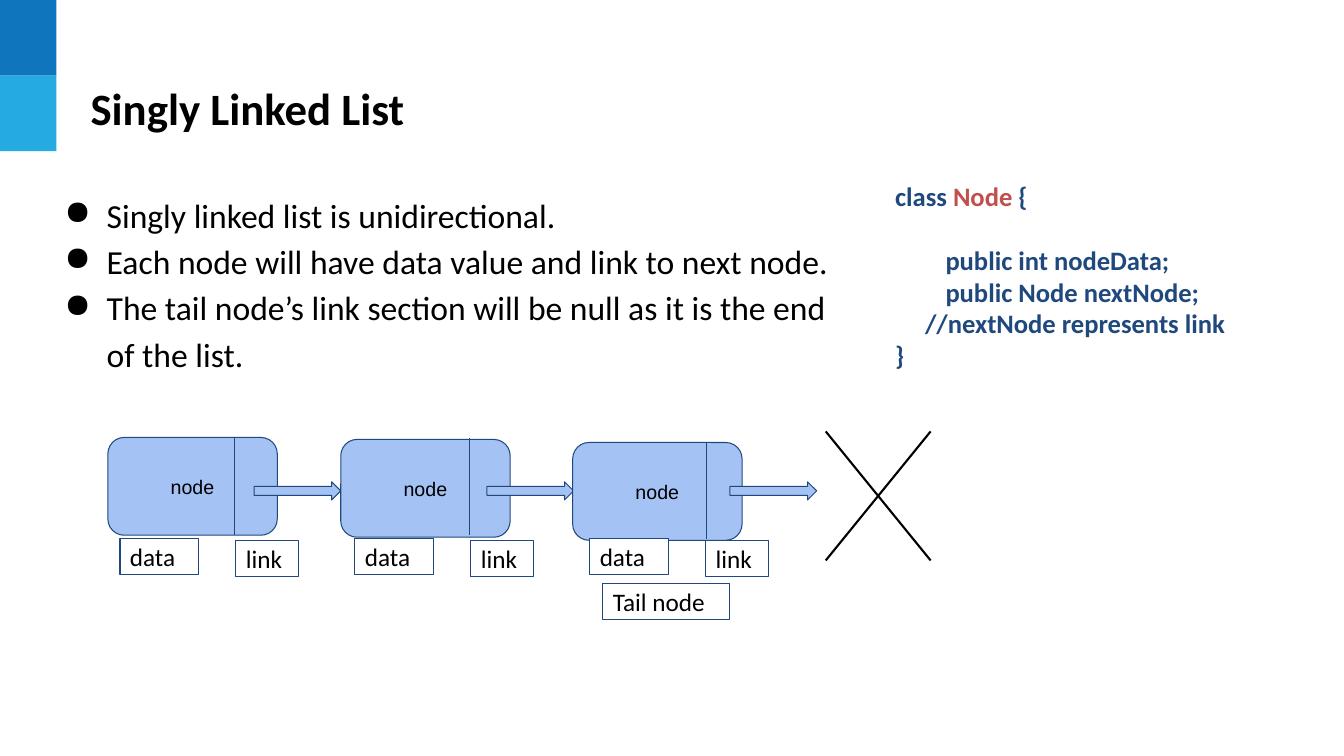
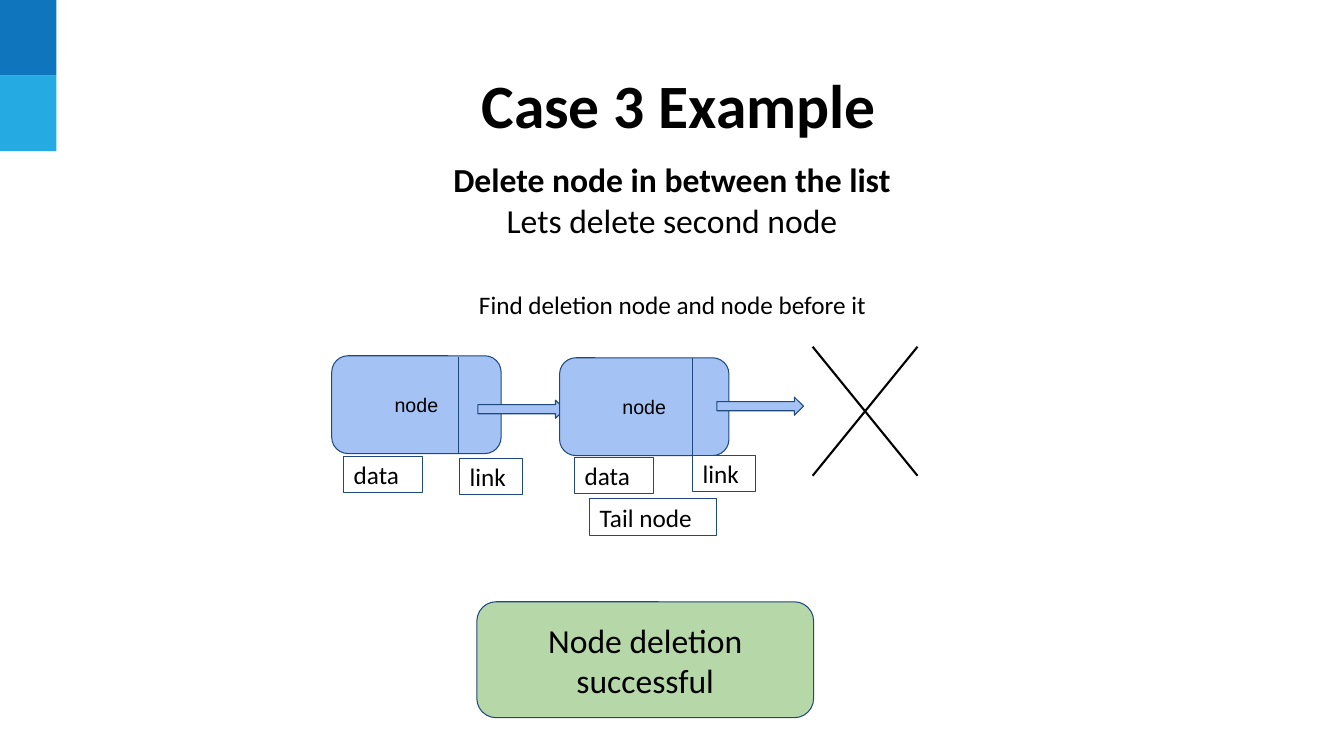
from lxml import etree
from pptx import Presentation
from pptx import util as u
from pptx.dml.color import RGBColor
from pptx.enum import shapes, text
from pptx.oxml.ns import qn

BLACK, WHITE, NAVY, RED = "000000", "FFFFFF", "1F497D", "C0504D"
BLUE, GREEN = "A4C2F4", "B6D7A8"
BANDS = ("0F75BD", "25AAE2")
MIDDLE = text.MSO_ANCHOR.MIDDLE
TOP = text.MSO_ANCHOR.TOP
CENTER = text.PP_ALIGN.CENTER
LEFT = text.PP_ALIGN.LEFT
RECTANGLE = shapes.MSO_SHAPE.RECTANGLE
ROUNDED = shapes.MSO_SHAPE.ROUNDED_RECTANGLE
ARROW = shapes.MSO_SHAPE.RIGHT_ARROW


def color(value):
    """Turn a hex string into a colour."""
    return RGBColor.from_string(value)


def apply(target, values):
    """Set each named attribute of the target."""
    for name, value in values.items():
        setattr(target, name, value)


class Deck:
    """Holds the shared style and the current slide."""

    def __init__(self):
        """Start an empty widescreen presentation."""
        self.presentation = Presentation()
        apply(self.presentation, {"slide_width": u.Inches(13.33), "slide_height": u.Inches(7.5)})
        self.slide = None

    def new_slide(self):
        """Add a blank slide with the two corner bands."""
        self.slide = self.presentation.slides.add_slide(self.presentation.slide_layouts[6])
        for row, fill in enumerate(BANDS):
            self.shape(RECTANGLE, (0, 0.75 * row, 0.56, 0.75), fill, None)

    def title(self, box, words, size, align=LEFT):
        """Add a bold slide title."""
        self.text(box, [[(words, {"bold": True})]], size, MIDDLE, 0.05, alignment=align)

    def text(self, box, paragraphs, size, anchor=TOP, inset=0.1, ink=BLACK, **layout):
        """Add a text box."""
        shape = self.slide.shapes.add_textbox(*map(u.Inches, box))
        self.fill_text(shape, paragraphs, size, anchor, inset, ink=ink, **layout)
        return shape

    def fill_text(self, shape, paragraphs, size, anchor=MIDDLE, inset=0.1,
                  font="Calibri", ink=BLACK, **layout):
        """Fill a shape with paragraphs of (words, format) runs."""
        frame = shape.text_frame
        apply(frame, {"word_wrap": True, "vertical_anchor": anchor,
                      "margin_left": u.Inches(0.1), "margin_right": u.Inches(0.1),
                      "margin_top": u.Inches(inset), "margin_bottom": u.Inches(inset)})
        for index, runs in enumerate(paragraphs):
            paragraph = frame.add_paragraph() if index else frame.paragraphs[0]
            apply(paragraph, layout)
            for words, extra in runs:
                run = paragraph.add_run()
                run.text = words
                values = {"name": font, "size": u.Pt(size), "bold": False, **extra}
                run.font.color.rgb = color(values.pop("ink", ink))
                apply(run.font, values)

    def bullets(self, box, lines, size):
        """Add a bulleted list."""
        shape = self.text(box, [[(line, {})] for line in lines], size, line_spacing=1.15)
        for paragraph in shape.text_frame.paragraphs:
            properties = paragraph._p.get_or_add_pPr()
            properties.set("marL", str(u.Inches(0.5)))
            properties.set("indent", str(u.Inches(-0.42)))
            tint = etree.SubElement(properties, qn("a:buClr"))
            etree.SubElement(tint, qn("a:srgbClr"), val=BLACK)
            etree.SubElement(properties, qn("a:buChar"), char="●")

    def shape(self, kind, box, fill, outline=NAVY):
        """Add a filled preset shape."""
        shape = self.slide.shapes.add_shape(kind, *map(u.Inches, box))
        shape.shadow.inherit = False
        shape.fill.solid()
        shape.fill.fore_color.rgb = color(fill)
        if outline:
            shape.line.color.rgb = color(outline)
            shape.line.width = u.Pt(0.75)
        else:
            shape.line.fill.background()
        return shape

    def label(self, kind, box, words, size=18, fill=WHITE, outline=NAVY, align=LEFT, font="Calibri"):
        """Add a shape with one line of text."""
        shape = self.shape(kind, box, fill, outline)
        self.fill_text(shape, [[(words, {})]], size, font=font, alignment=align)

    def line(self, start, end, ink, width):
        """Add a straight line."""
        connector = self.slide.shapes.add_connector(
            shapes.MSO_CONNECTOR.STRAIGHT, *map(u.Inches, (*start, *end)))
        connector.line.color.rgb = color(ink)
        connector.line.width = u.Pt(width)
        etree.SubElement(connector._element.spPr, qn("a:effectLst"))

    def node(self, body, split, arrow, data, link):
        """Add a list node with its divider, arrow and field labels."""
        self.label(ROUNDED, (*body, 1.68, 0.97), "node", 14, BLUE, align=CENTER, font="Arial")
        self.line(split, (split[0], split[1] + 0.96), NAVY, 0.75)
        self.shape(ARROW, (*arrow, 0.86, 0.18), BLUE)
        self.label(RECTANGLE, (*data, 0.78, 0.36), "data")
        self.label(RECTANGLE, (*link, 0.62, 0.36), "link")

    def tail(self, left, top):
        """Add the tail node label."""
        self.label(RECTANGLE, (left, top, 1.26, 0.36), "Tail node")

    def null_cross(self, left, top):
        """Add the cross that marks the null link."""
        right, bottom = left + 1.04, top + 1.28
        self.line((right, top), (left, bottom), BLACK, 1.5)
        self.line((right, bottom), (left, top), BLACK, 1.5)


def singly_linked_list(deck):
    """Build the slide that explains the list."""
    deck.new_slide()
    deck.title((0.8, 0.62, 8.75, 0.9), "Singly Linked List", 32)
    deck.bullets((0.46, 1.77, 8.16, 2), [
        "Singly linked list is unidirectional.",
        "Each node will have data value and link to next node.",
        "The tail node’s link section will be null as it is the end of the list."], 24)
    columns = [(1.07, 4.34, 2.33, 4.35, 2.52), (3.38, 4.36, 4.66, 4.35, 4.83),
               (5.68, 4.39, 7.01, 4.39, 7.24)]
    for index, (left, top, split, split_top, arrow) in enumerate(columns):
        data = 1.19 + 2.33 * index
        deck.node((left, top), (split, split_top), (arrow, 4.78), (data, 5.34), (data + 1.15, 5.36))
    deck.tail(5.98, 5.79)
    deck.null_cross(8.19, 4.28)
    code = [[("class ", {}), ("Node ", {"ink": RED}), ("{", {})],
            [("\tpublic int nodeData;", {})],
            [("\tpublic Node nextNode;", {})],
            [("     //nextNode represents link", {})],
            [("}", {})]]
    bold_code = [[(words, {"bold": True, **extra}) for words, extra in runs] for runs in code]
    listing = deck.text((8.78, 1.68, 3.9, 2.59), bold_code, 19, ink=NAVY)
    listing.text_frame.paragraphs[1].space_before = u.Pt(23)


def deletion_example(deck):
    """Build the slide that shows the list after deletion."""
    deck.new_slide()
    deck.title((2.19, 0.58, 9.09, 0.9), "Case 3 Example", 44, CENTER)
    deck.text((3.85, 1.48, 5.63, 1.01), [
        [("Delete node in between the list", {"bold": True})],
        [("Lets delete second node", {})]], 24, alignment=CENTER)
    deck.label(ROUNDED, (4.73, 5.97, 3.34, 1.15), "Node deletion successful", 24, GREEN, align=CENTER)
    deck.label(RECTANGLE, (4.62, 2.76, 4.1, 0.52), "Find deletion node and node before it",
               outline=WHITE, align=CENTER)
    deck.node((3.29, 3.53), (4.55, 3.54), (4.74, 3.97), (3.41, 4.53), (4.56, 4.55))
    deck.node((5.55, 3.55), (6.87, 3.55), (7.11, 3.94), (5.7, 4.54), (6.87, 4.52))
    deck.tail(5.85, 4.95)
    deck.null_cross(8.06, 3.44)


def main():
    """Build and save the presentation."""
    deck = Deck()
    singly_linked_list(deck)
    deletion_example(deck)
    deck.presentation.save("out.pptx")


if __name__ == "__main__":
    main()
